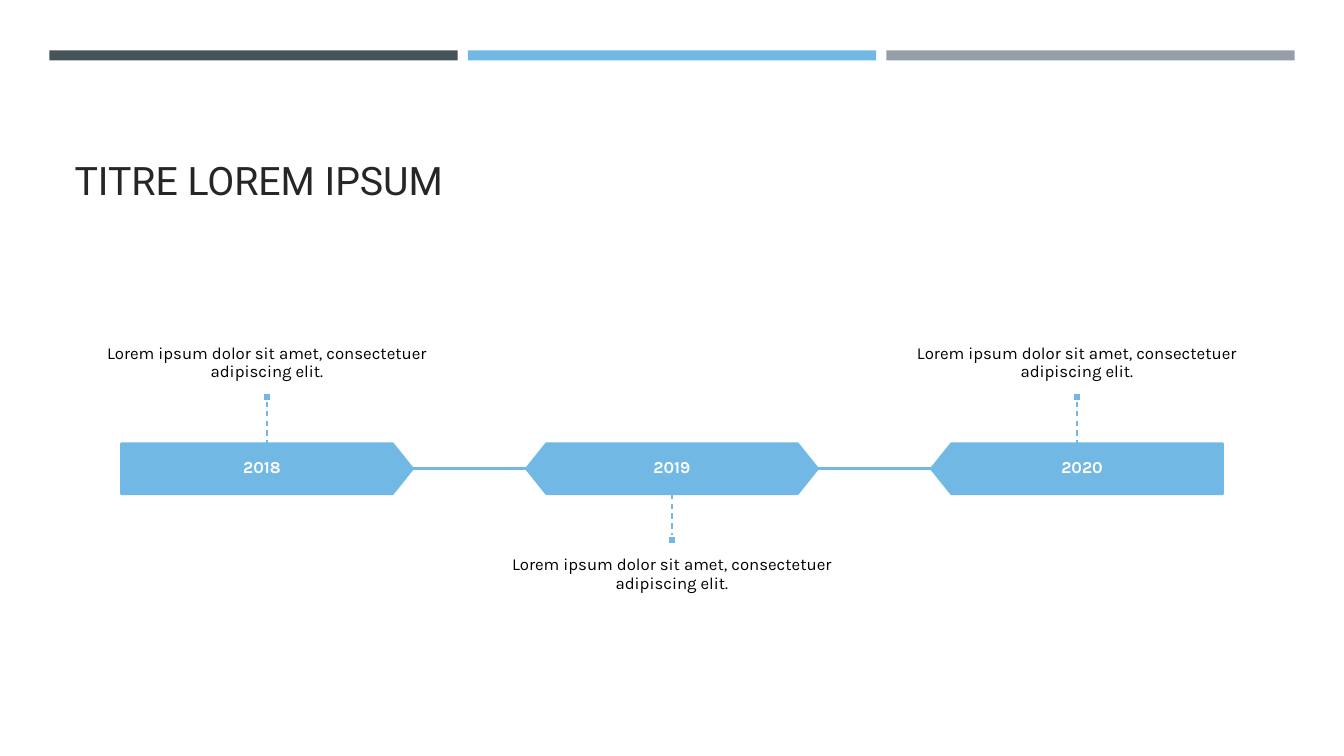
from pptx import Presentation
from pptx.dml.color import RGBColor
from pptx.enum import dml, shapes, text
from pptx.oxml import ns, xmlchemy
from pptx.util import Inches, Pt

# Content
TITLE = "TITRE LOREM IPSUM"
CAPTION = "Lorem ipsum dolor sit amet, consectetuer adipiscing elit."
SHAPE = shapes.MSO_SHAPE
ANCHOR = text.MSO_ANCHOR
# year, shape, rotation, label inset (left, right), caption above the band
MILESTONES = [
    ("2018", SHAPE.PENTAGON, 0, (0, 0.1), True),
    ("2019", SHAPE.HEXAGON, 0, (0.31, 0.31), False),
    ("2020", SHAPE.PENTAGON, 180, (0.1, 0), True),
]
COLORS = {"slate": "465359", "blue": "71B9E4", "gray": "969FA7",
          "title": "262626", "text": "000000", "white": "FFFFFF"}

# Grid, in inches
WIDTH, HEIGHT = 13.33, 7.5
MARGIN = 0.64
COLUMN = (WIDTH - 2 * MARGIN) / len(MILESTONES)
BAR_LEFT, BAR_STEP, BAR_WIDTH = 0.49, 4.15, 4.05
BAND_TOP, BAND_WIDTH, BAND_HEIGHT = 4.4, 2.89, 0.5
BAND_BOTTOM = BAND_TOP + BAND_HEIGHT
YEAR_LIFT = 0.01
PIN_LENGTH, MARKER = 0.42, 0.08
CAPTION_HEIGHT, CAPTION_GAP = 1.33, 0.5


def color(name):
    return RGBColor.from_string(COLORS[name])


def add_block(kind, left, top, width, height, fill, line=None):
    shape = slide.shapes.add_shape(kind, *map(Inches, (left, top, width, height)))
    shape.shadow.inherit = False
    shape.fill.solid()
    shape.fill.fore_color.rgb = color(fill)
    if line:
        shape.line.color.rgb = color(line)
        shape.line.width = Pt(1.75)
    else:
        shape.line.fill.background()
    return shape


def add_line(x1, y1, x2, y2, width, dashed=False):
    line = slide.shapes.add_connector(
        shapes.MSO_CONNECTOR.STRAIGHT, *map(Inches, (x1, y1, x2, y2)))
    line.line.color.rgb = color("blue")
    line.line.width = Pt(width)
    if dashed:
        line.line.dash_style = dml.MSO_LINE.DASH
    line._element.spPr.append(xmlchemy.OxmlElement("a:effectLst"))


def format_text(shape, content, size, font, ink, anchor, bold=False):
    frame = shape.text_frame
    frame.text = content
    frame.word_wrap = True
    frame.auto_size = text.MSO_AUTO_SIZE.NONE
    frame.vertical_anchor = anchor
    paragraph = frame.paragraphs[0]
    paragraph.line_spacing = 0.9
    run = paragraph.runs[0].font
    run.size, run.name, run.bold = Pt(size), font, bold
    run.color.rgb = color(ink)
    return frame, paragraph


def add_label(left, top, width, height, content, ink, anchor, insets, bold=False):
    box = slide.shapes.add_textbox(*map(Inches, (left, top, width, height)))
    frame, paragraph = format_text(box, content, 12, "Karla", ink, anchor, bold)
    paragraph.alignment = text.PP_ALIGN.CENTER
    frame.margin_left = frame.margin_right = Inches(insets[0])
    frame.margin_top = frame.margin_bottom = Inches(insets[1])


presentation = Presentation()
presentation.slide_width, presentation.slide_height = Inches(WIDTH), Inches(HEIGHT)
slide = presentation.slides.add_slide(presentation.slide_layouts[5])

# Top bars
for index, name in enumerate(("slate", "blue", "gray")):
    add_block(SHAPE.RECTANGLE, BAR_LEFT + index * BAR_STEP, 0.5, BAR_WIDTH, 0.1, name)

# Title
title = slide.shapes.title
title.left, title.top, title.width, title.height = map(Inches, (MARGIN, 0.77, 12.06, 1.3))
_, heading = format_text(title, TITLE, 28, "Roboto", "title", ANCHOR.BOTTOM)
heading.alignment = text.PP_ALIGN.LEFT

# Timeline
for index, (year, kind, rotation, (inset_left, inset_right), above) in enumerate(MILESTONES):
    column_left = MARGIN + index * COLUMN
    center = column_left + COLUMN / 2
    band_left = center - BAND_WIDTH / 2

    band = add_block(kind, band_left, BAND_TOP, BAND_WIDTH, BAND_HEIGHT, "blue", "blue")
    band.adjustments[0] = 0.4
    band.rotation = rotation
    add_label(band_left + inset_left, BAND_TOP - YEAR_LIFT,
              BAND_WIDTH - inset_left - inset_right, BAND_HEIGHT,
              year, "white", ANCHOR.MIDDLE, (0.1, 0.1), True)
    if index < len(MILESTONES) - 1:
        middle = BAND_TOP + BAND_HEIGHT / 2
        add_line(band_left + BAND_WIDTH, middle, band_left + COLUMN, middle, 1.75)

    # Pin and caption
    if above:
        pin_start, pin_end = BAND_TOP - PIN_LENGTH, BAND_TOP
        marker_top = pin_start - MARKER
        caption_top = BAND_TOP - CAPTION_GAP - CAPTION_HEIGHT
        anchor = ANCHOR.BOTTOM
    else:
        pin_start, pin_end = BAND_BOTTOM, BAND_BOTTOM + PIN_LENGTH
        marker_top = pin_end
        caption_top = BAND_BOTTOM + CAPTION_GAP
        anchor = ANCHOR.TOP
    add_line(center, pin_start, center, pin_end, 1, dashed=True)
    add_block(SHAPE.RECTANGLE, center - MARKER / 2, marker_top, MARKER, MARKER, "blue", "white")
    add_label(column_left, caption_top, COLUMN, CAPTION_HEIGHT, CAPTION, "text",
              anchor, (0.1, 0.12))

presentation.save("out.pptx")
